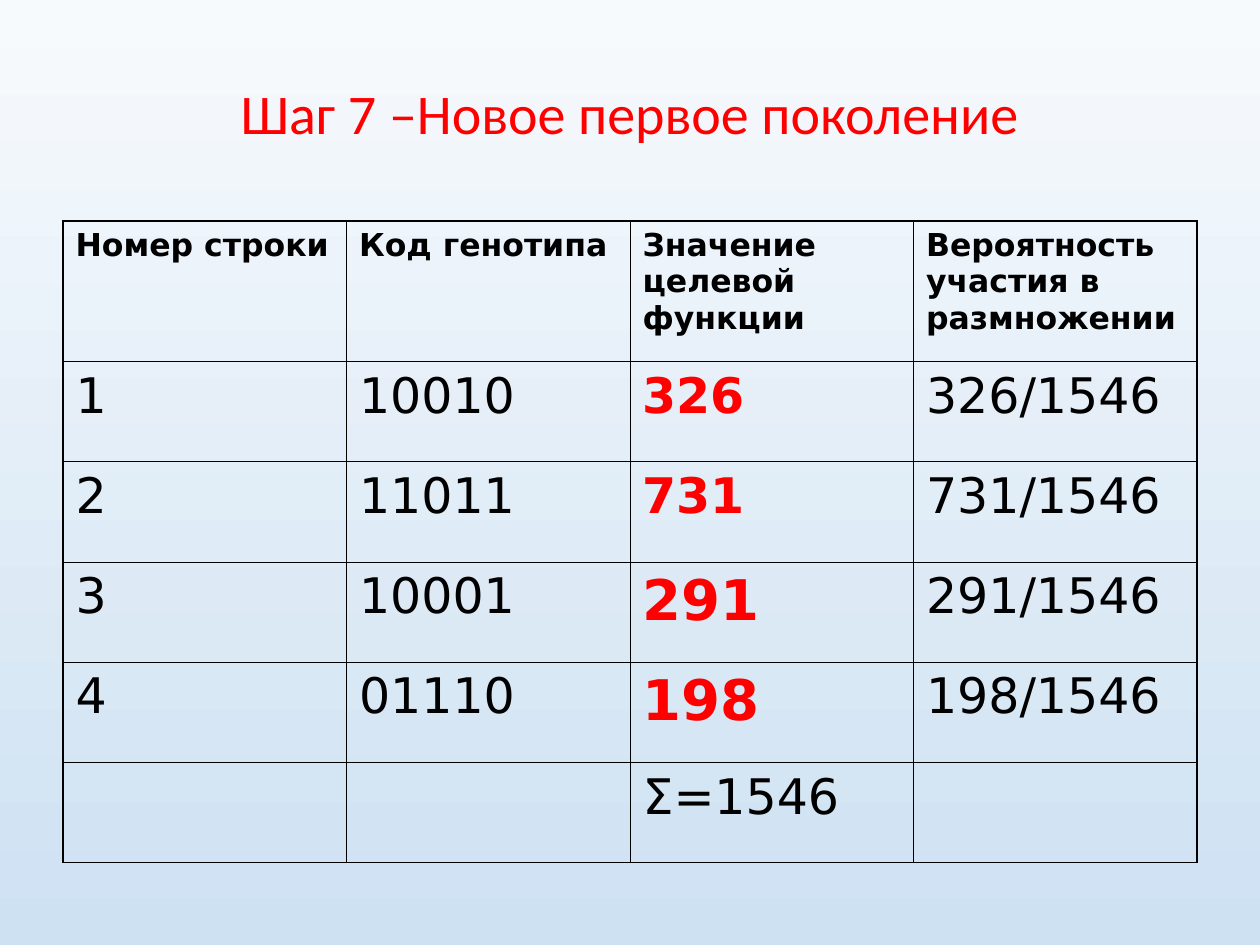
from lxml import etree
from pptx import Presentation
from pptx.dml.color import RGBColor
from pptx.enum.text import MSO_ANCHOR, PP_ALIGN
from pptx.oxml.ns import qn
from pptx.util import Cm, Pt

CENTER = PP_ALIGN.CENTER
MIDDLE = MSO_ANCHOR.MIDDLE

TITLE = "Шаг 7 –Новое первое поколение"
HEADER = ["Номер строки", "Код генотипа", "Значение целевой функции",
          "Вероятность участия в размножении"]
TOTAL = 1546
GENERATION = [("10010", 326, 28), ("11011", 731, 28),
              ("10001", 291, 32), ("01110", 198, 32)]  # code, value, value size

BLACK, RED = "000000", "FF0000"
BACKGROUND = ["F7FAFD", "CEE1F2"]
HEAD = {"name": "DejaVu Sans", "size": Pt(18), "bold": True}
BODY = {"name": "DejaVu Sans", "size": Pt(28), "bold": False}
TITLE_FONT = {"name": "Calibri", "size": Pt(32), "bold": False}

LEFT, WIDTH = Cm(1.27), Cm(22.86)
TABLE_TOP, HEAD_HEIGHT, ROW_HEIGHT = Cm(4.45), Cm(2.84), Cm(2.02)
THIN, THICK = Pt(0.45), Pt(1.08)


def rgb(value):
    return RGBColor.from_string(value)


def format_font(font, values, color):
    for name, value in values.items():
        setattr(font, name, value)
    font.color.rgb = rgb(color)


def set_borders(cell, widths):
    """Draw black left, right, top and bottom borders of the given widths."""
    tcPr = cell._tc.get_or_add_tcPr()
    for i, (side, width) in enumerate(zip("LRTB", widths)):
        ln = etree.Element(qn(f"a:ln{side}"), w=str(int(width)))
        fill = etree.SubElement(ln, qn("a:solidFill"))
        etree.SubElement(fill, qn("a:srgbClr"), val=BLACK)
        tcPr.insert(i, ln)


def table_rows():
    """Return rows of (text, font values, colour)."""
    rows = [[(text, HEAD, BLACK) for text in HEADER]]
    for number, (code, value, size) in enumerate(GENERATION, 1):
        strong = {**BODY, "size": Pt(size), "bold": True}
        rows.append([(str(number), BODY, BLACK), (code, BODY, BLACK),
                     (str(value), strong, RED),
                     (f"{value}/{TOTAL}", BODY, BLACK)])
    rows.append([(text, BODY, BLACK) for text in ("", "", f"Σ={TOTAL}", "")])
    return rows


def add_title(s):
    title = s.shapes.title
    title.left, title.top = LEFT, Cm(0.76)
    title.width, title.height = WIDTH, Cm(3.18)
    tf = title.text_frame
    tf.text = TITLE
    tf.vertical_anchor = MIDDLE
    p = tf.paragraphs[0]
    p.alignment = CENTER
    p.line_spacing = 0.9
    format_font(p.runs[0].font, TITLE_FONT, RED)


def add_generation_table(s):
    rows = table_rows()
    n_rows, n_cols = len(rows), len(HEADER)
    table = s.shapes.add_table(n_rows, n_cols, LEFT, TABLE_TOP, WIDTH,
                               HEAD_HEIGHT + ROW_HEIGHT * (n_rows - 1)).table
    table.first_row = table.horz_banding = False
    for r, row in enumerate(rows):
        table.rows[r].height = ROW_HEIGHT if r else HEAD_HEIGHT
        for c, (text, font, color) in enumerate(row):
            cell = table.cell(r, c)
            cell.fill.background()
            outer = (c == 0, c == n_cols - 1, r == 0, r == n_rows - 1)
            set_borders(cell, [THICK if edge else THIN for edge in outer])
            if text:
                cell.text = text
                format_font(cell.text_frame.paragraphs[0].runs[0].font, font, color)


def main():
    prs = Presentation()
    prs.slide_width, prs.slide_height = Cm(25.4), Cm(19.05)
    s = prs.slides.add_slide(prs.slide_layouts[5])
    fill = s.background.fill
    fill.gradient()
    fill.gradient_angle = 270
    for stop, color in zip(fill.gradient_stops, BACKGROUND):
        stop.color.rgb = rgb(color)
    add_title(s)
    add_generation_table(s)
    prs.save("out.pptx")


if __name__ == "__main__":
    main()
